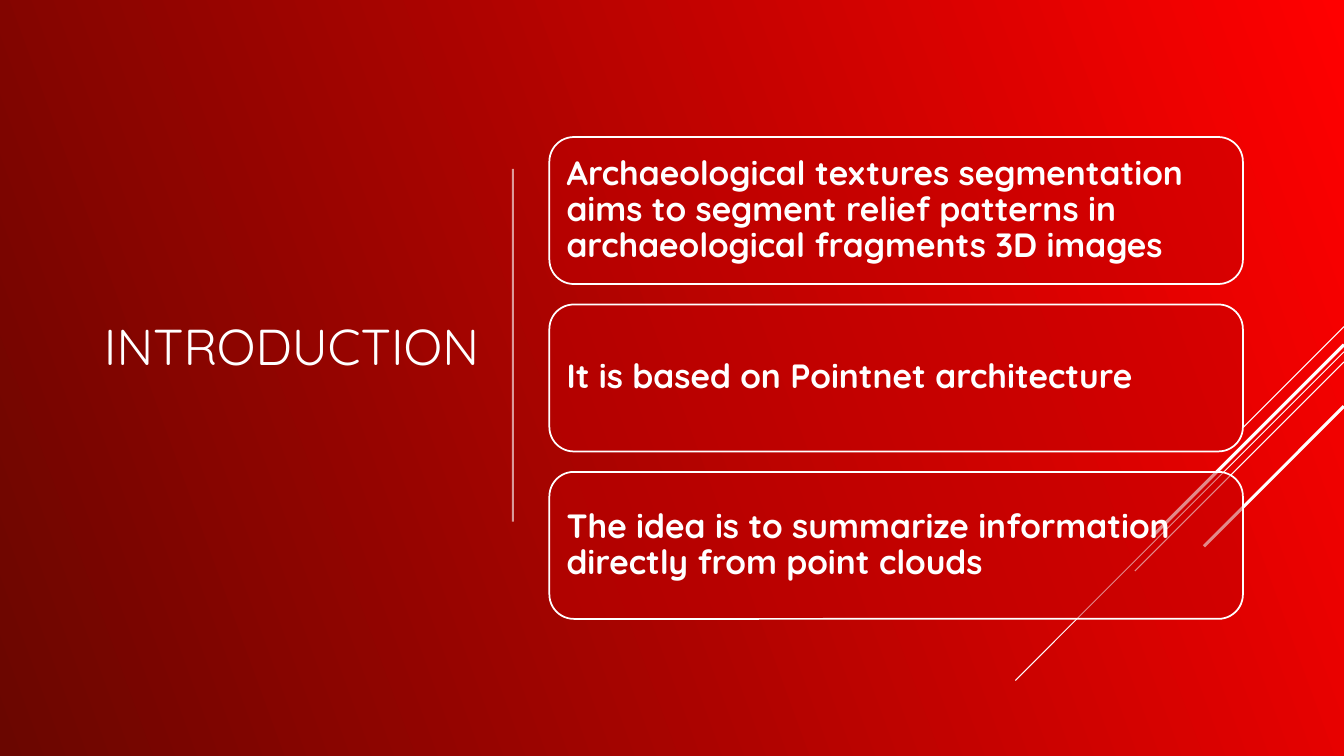
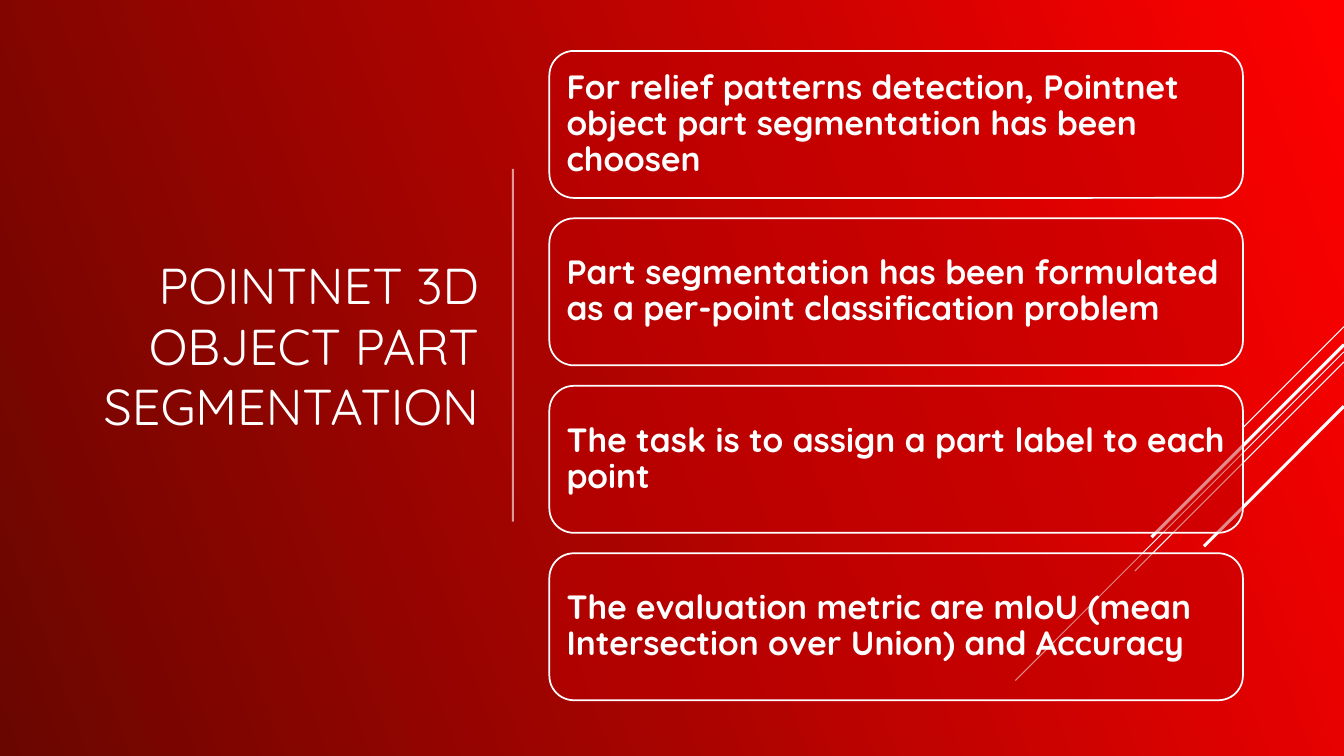
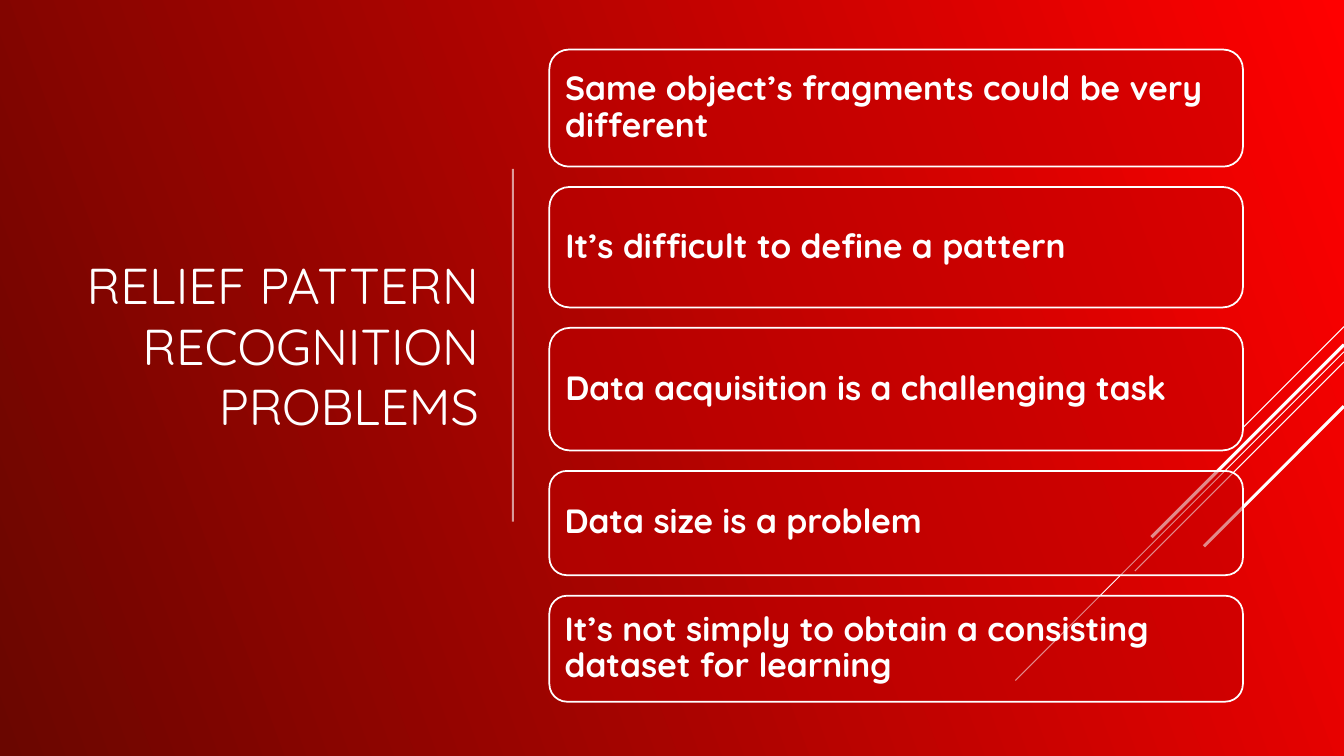
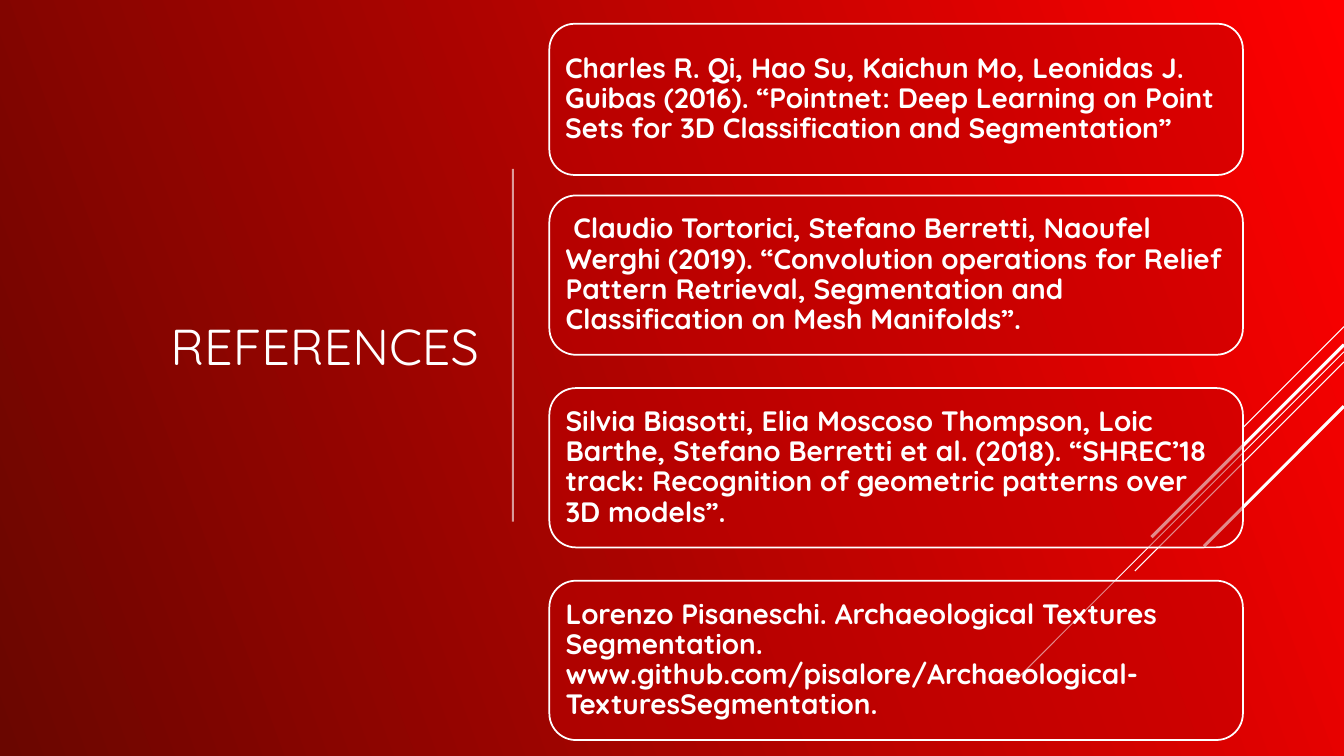
from lxml import etree
from pptx import Presentation
from pptx.dml.color import RGBColor
from pptx.enum import shapes, text
from pptx.oxml import ns
from pptx.util import Pt

WHITE, CARD_RED, BRIGHT_RED, DARK_RED = "FFFFFF", "C00000", "FF0000", "6A0600"
FONT = "Quicksand"
WIDTH, HEIGHT = 960, 540
CARD_LEFT, CARD_WIDTH = 392.4, 495.4
GAP = 14.6

# Diagonal strokes: start y on the right edge, horizontal run, line width
STROKES = [(233.3, 72, 0.75), (251.3, 234.7, 0.75), (258.5, 149.4, 0.75),
           (246.2, 137.5, 2.25), (290.2, 100, 2.25)]


def rgb(value):
    return RGBColor.from_string(value)


def set_opacity(fill_parent, percent):
    color = fill_parent.find(".//" + ns.qn("a:srgbClr"))
    etree.SubElement(color, ns.qn("a:alpha")).set("val", str(percent * 1000))


class Deck:
    def __init__(self):
        self.prs = Presentation()
        self.prs.slide_width, self.prs.slide_height = Pt(WIDTH), Pt(HEIGHT)
        self.s = None
        # Shared background
        fill = self.prs.slide_master.background.fill
        fill.gradient()
        fill.gradient_angle = 200
        for stop, color in zip(fill.gradient_stops, (BRIGHT_RED, DARK_RED)):
            stop.color.rgb = rgb(color)

    def slide(self, title):
        self.s = self.prs.slides.add_slide(self.prs.slide_layouts[6])
        for y, run, width in STROKES:
            self.line(WIDTH, y, WIDTH - run, y + run, width)
        self.title(title)
        self.line(366.4, 120.6, 366.4, 372.6, 1.5, opacity=60)

    def line(self, x1, y1, x2, y2, width, opacity=100):
        c = self.s.shapes.add_connector(
            shapes.MSO_CONNECTOR.STRAIGHT, Pt(x1), Pt(y1), Pt(x2), Pt(y2))
        c.line.color.rgb = rgb(WHITE)
        c.line.width = Pt(width)
        props = c._element.spPr
        if opacity < 100:
            set_opacity(props, opacity)
        etree.SubElement(props, ns.qn("a:effectLst"))

    def add_words(self, sp, words, size, align, bold=False, spacing=1.0):
        tf = sp.text_frame
        tf.word_wrap = True
        tf.vertical_anchor = text.MSO_ANCHOR.MIDDLE
        p = tf.paragraphs[0]
        p.alignment = align
        p.line_spacing = spacing
        r = p.add_run()
        r.text = words
        r.font.name, r.font.size, r.font.bold = FONT, Pt(size), bold
        r.font.color.rgb = rgb(WHITE)
        return tf

    def title(self, words):
        sp = self.s.shapes.add_textbox(Pt(54), Pt(54), Pt(295.2), Pt(385.2))
        self.add_words(sp, words, 36, text.PP_ALIGN.RIGHT)

    def card(self, top, height, words, size):
        sp = self.s.shapes.add_shape(
            shapes.MSO_SHAPE.ROUNDED_RECTANGLE,
            Pt(CARD_LEFT), Pt(top), Pt(CARD_WIDTH), Pt(height))
        sp.shadow.inherit = False
        sp.fill.solid()
        sp.fill.fore_color.rgb = rgb(CARD_RED)
        set_opacity(sp._element.spPr, 46)
        sp.line.color.rgb = rgb(WHITE)
        sp.line.width = Pt(1.25)
        tf = self.add_words(sp, words, size, text.PP_ALIGN.LEFT, True, 0.9)
        inset = Pt(size * 0.3)
        tf.margin_left = tf.margin_right = inset
        tf.margin_top = tf.margin_bottom = inset

    def stack(self, top, cards, size=24, gap=GAP):
        """Place (height, words) cards downwards; return the next free top."""
        for height, words in cards:
            self.card(top, height, words, size)
            top += height + gap
        return top


def main():
    deck = Deck()

    # Introduction
    deck.slide("INTRODUCTION")
    deck.stack(97.9, [(105, words) for words in (
        "Archaeological textures segmentation aims to segment relief patterns "
        "in archaeological fragments 3D images",
        "It is based on Pointnet architecture",
        "The idea is to summarize information directly from point clouds")])

    # Part segmentation
    deck.slide("POINTNET 3D OBJECT PART SEGMENTATION")
    deck.stack(36.4, [(105, words) for words in (
        "For relief patterns detection, Pointnet object part segmentation "
        "has been choosen",
        "Part segmentation has been formulated as a per-point "
        "classification problem",
        "The task is to assign a part label to each point",
        "The evaluation metric are mIoU (mean Intersection over Union) "
        "and Accuracy")])

    # Problems
    deck.slide("RELIEF PATTERN RECOGNITION PROBLEMS")
    deck.stack(35.4, [
        (83.6, "Same object’s fragments could be very different"),
        (86, "It’s difficult to define a pattern"),
        (87.6, "Data acquisition is a challenging task"),
        (74.5, "Data size is a problem"),
        (75.7, "It’s not simply to obtain a consisting dataset for learning")])

    # References
    deck.slide("REFERENCES")
    top = deck.stack(17, [
        (108, "Charles R. Qi, Hao Su, Kaichun Mo, Leonidas J. Guibas (2016). "
              "“Pointnet: Deep Learning on Point Sets for 3D Classification "
              "and Segmentation”")], size=20)
    deck.stack(top, [(113.8, words) for words in (
        " Claudio Tortorici, Stefano Berretti, Naoufel Werghi (2019). "
        "“Convolution operations for Relief Pattern Retrieval, Segmentation "
        "and Classification on Mesh Manifolds”.",
        "Silvia Biasotti, Elia Moscoso Thompson, Loic Barthe, Stefano Berretti "
        "et al. (2018). “SHREC’18 track: Recognition of geometric patterns "
        "over 3D models”.",
        "Lorenzo Pisaneschi. Archaeological Textures Segmentation. "
        "www.github.com/pisalore/Archaeological-TexturesSegmentation.")],
        size=20, gap=23.8)

    deck.prs.save("out.pptx")


if __name__ == "__main__":
    main()
